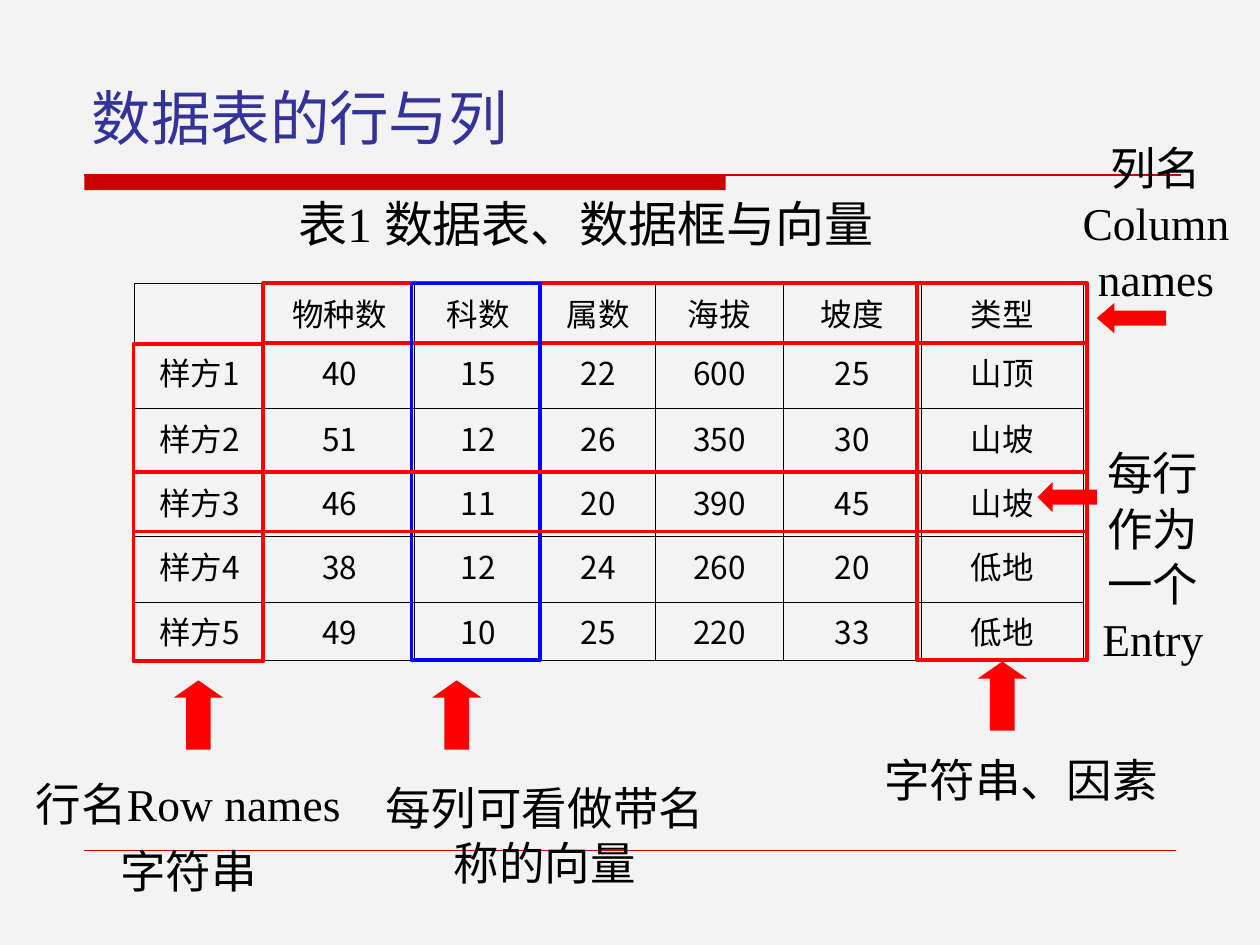
from dataclasses import dataclass

from lxml.etree import SubElement
from pptx import Presentation
from pptx.dml.color import RGBColor
from pptx.enum.shapes import MSO_CONNECTOR, MSO_SHAPE
from pptx.enum.text import MSO_ANCHOR, PP_ALIGN
from pptx.oxml.ns import qn
from pptx.util import Inches, Pt

WIDTH, HEIGHT = 10, 7.5
COLORS = {
    "background": "F3F3F3", "rule": "CC0000", "title": "333399",
    "text": "000000", "red": "FF0000", "blue": "0000FF",
}
SERIF, SANS = "Times New Roman", "Noto Sans CJK SC"
LINE_HEIGHT = 1.21

TABLE_LEFT, TABLE_TOP = 1.07, 2.25
COLUMNS = [1.03, 1.19, 1.01, 0.9, 1.02, 1.09, 1.29]
ROWS = [0.47, 0.52, 0.51, 0.51, 0.52, 0.46]
CELLS = [
    ["", "物种数", "科数", "属数", "海拔", "坡度", "类型"],
    ["样方1", "40", "15", "22", "600", "25", "山顶"],
    ["样方2", "51", "12", "26", "350", "30", "山坡"],
    ["样方3", "46", "11", "20", "390", "45", "山坡"],
    ["样方4", "38", "12", "24", "260", "20", "低地"],
    ["样方5", "49", "10", "25", "220", "33", "低地"],
]


@dataclass
class Area:
    """A rectangle in percent of the slide's width and height."""
    left: float
    top: float
    width: float
    height: float

    def emu(self) -> tuple:
        return (across(self.left), down(self.top),
                across(self.width), down(self.height))


@dataclass
class Label:
    area: Area
    lines: list[str]
    size: float = 26
    color: str = "text"
    align: PP_ALIGN = PP_ALIGN.CENTER
    font: str = ""
    gap: float = 6.5
    bottom: float = 0.02


@dataclass
class Arrow:
    area: Area
    head: float = 0.35
    rotation: int = 0


@dataclass
class Highlight:
    """A frame between positions counted in table columns and rows."""
    left: float
    top: float
    right: float
    bottom: float
    color: str = "red"


TITLE = Label(Area(6.3, 4.4, 87.5, 12), ["数据表的行与列"], 34, "title",
              PP_ALIGN.LEFT, SERIF)
ROW_NAMES = Label(Area(0.4, 81.07, 29.1, 14.13), ["行名Row names", "字符串"])
COLUMN_NAMES = Label(Area(83.5, 14.27, 16.5, 18.67), ["列名 Column names"],
                     bottom=0.05)
VECTOR = Label(Area(27.9, 81.47, 30.7, 12.93), ["每列可看做带名称的向量"])
CAPTION = Label(Area(20.1, 19.33, 52.8, 7.6), ["表1 数据表、数据框与向量"], 28)
FACTOR = Label(Area(65.7, 78.4, 30.7, 7.2), ["字符串、因素"])
ENTRY = Label(Area(85.4, 46.53, 12.2, 24.53), ["每行作为一个Entry"], bottom=0.05)

ANNOTATIONS = [
    Arrow(Area(13.8, 72, 3.9, 7.33)),
    Arrow(Area(88.6, 30, 2.4, 7.33), 0.58, 270),
    ROW_NAMES,
    COLUMN_NAMES,
    Highlight(-0.01, 1.02, 0.99, 6.02),
    Highlight(0.99, 0, 7.02, 1),
    Highlight(1.98, 0, 2.99, 6, "blue"),
    Arrow(Area(34.3, 72, 3.9, 7.33)),
    VECTOR,
    CAPTION,
    Highlight(-0.01, 3, 7.02, 3.92),
    Arrow(Area(83.5, 49.47, 2.4, 6.27), 0.5, 270),
    Highlight(5.97, 0, 7.02, 6),
    Arrow(Area(77.6, 70, 3.9, 7.33)),
    FACTOR,
    ENTRY,
]


def across(percent: float) -> int:
    return Inches(WIDTH * percent / 100)


def down(percent: float) -> int:
    return Inches(HEIGHT * percent / 100)


def color(name: str) -> RGBColor:
    return RGBColor.from_string(COLORS[name])


def grid_position(start: float, sizes: list[float], position: float) -> int:
    """Turn a fractional column or row number into a length."""
    index = min(int(position), len(sizes) - 1)
    return Inches(start + sum(sizes[:index]) + sizes[index] * (position - index))


def style(paragraph, size: float, name: str, font: str) -> None:
    paragraph.font.size = Pt(size)
    paragraph.font.color.rgb = color(name)
    paragraph.font.name = font
    properties = paragraph._p.pPr.find(qn("a:defRPr"))
    SubElement(properties, qn("a:ea")).set("typeface", SANS)


def draw_line(slide, left: float, right: float, top: float, width: float) -> None:
    line = slide.shapes.add_connector(MSO_CONNECTOR.STRAIGHT, across(left),
                                      down(top), across(right), down(top))
    line.line.color.rgb = color("rule")
    line.line.width = Pt(width)
    SubElement(line._element.spPr, qn("a:effectLst"))


def draw_solid(slide, kind: MSO_SHAPE, area: Area, fill: str):
    shape = slide.shapes.add_shape(kind, *area.emu())
    shape.shadow.inherit = False
    shape.fill.solid()
    shape.fill.fore_color.rgb = color(fill)
    shape.line.fill.background()
    return shape


def draw_label(slide, label: Label) -> None:
    frame = slide.shapes.add_textbox(*label.area.emu()).text_frame
    frame.word_wrap = True
    frame.vertical_anchor = MSO_ANCHOR.BOTTOM
    frame.margin_bottom = Inches(label.bottom)
    frame.text = "\n".join(label.lines)
    for index, paragraph in enumerate(frame.paragraphs):
        paragraph.alignment = label.align
        paragraph.line_spacing = Pt(round(LINE_HEIGHT * label.size, 1))
        if index:
            paragraph.space_before = Pt(label.gap)
        has_latin = any(letter.isascii() for letter in paragraph.text)
        font = label.font or (SERIF if has_latin else SANS)
        style(paragraph, label.size, label.color, font)


def draw_arrow(slide, arrow: Arrow) -> None:
    shape = draw_solid(slide, MSO_SHAPE.UP_ARROW, arrow.area, "red")
    shape.adjustments[0] = 0.5
    shape.adjustments[1] = arrow.head
    shape.rotation = arrow.rotation


def draw_highlight(slide, frame: Highlight) -> None:
    left, right = (grid_position(TABLE_LEFT, COLUMNS, position)
                   for position in (frame.left, frame.right))
    top, bottom = (grid_position(TABLE_TOP, ROWS, position)
                   for position in (frame.top, frame.bottom))
    shape = slide.shapes.add_shape(MSO_SHAPE.RECTANGLE, left, top,
                                   right - left, bottom - top)
    shape.shadow.inherit = False
    shape.fill.background()
    shape.line.color.rgb = color(frame.color)
    shape.line.width = Pt(2.25)


def add_borders(cell) -> None:
    properties = cell._tc.get_or_add_tcPr()
    for index, side in enumerate(("lnL", "lnR", "lnT", "lnB")):
        line = properties.makeelement(qn(f"a:{side}"), {"w": str(Pt(0.45))})
        fill = SubElement(line, qn("a:solidFill"))
        SubElement(fill, qn("a:srgbClr")).set("val", COLORS["text"])
        properties.insert(index, line)


def draw_table(slide) -> None:
    table = slide.shapes.add_table(
        len(ROWS), len(COLUMNS), Inches(TABLE_LEFT), Inches(TABLE_TOP),
        Inches(sum(COLUMNS)), Inches(sum(ROWS))).table
    table.first_row = table.horz_banding = False
    for column, width in zip(table.columns, COLUMNS):
        column.width = Inches(width)
    for row, height, texts in zip(table.rows, ROWS, CELLS):
        row.height = Inches(height)
        for cell, text in zip(row.cells, texts):
            cell.fill.background()
            add_borders(cell)
            cell.text = text
            paragraph = cell.text_frame.paragraphs[0]
            paragraph.alignment = PP_ALIGN.CENTER
            style(paragraph, 18, "text", SANS)


def main() -> None:
    presentation = Presentation()
    presentation.slide_width, presentation.slide_height = Inches(WIDTH), Inches(HEIGHT)
    slide = presentation.slides.add_slide(presentation.slide_layouts[6])
    slide.background.fill.solid()
    slide.background.fill.fore_color.rgb = color("background")

    draw_solid(slide, MSO_SHAPE.RECTANGLE, Area(6.7, 18.53, 50.9, 1.6), "rule")
    draw_line(slide, 6.7, 93.7, 18.53, 0.75)
    draw_line(slide, 6.7, 93.3, 90, 0.25)
    draw_label(slide, TITLE)
    draw_table(slide)
    draw = {Label: draw_label, Arrow: draw_arrow, Highlight: draw_highlight}
    for item in ANNOTATIONS:
        draw[type(item)](slide, item)
    presentation.save("out.pptx")


if __name__ == "__main__":
    main()
